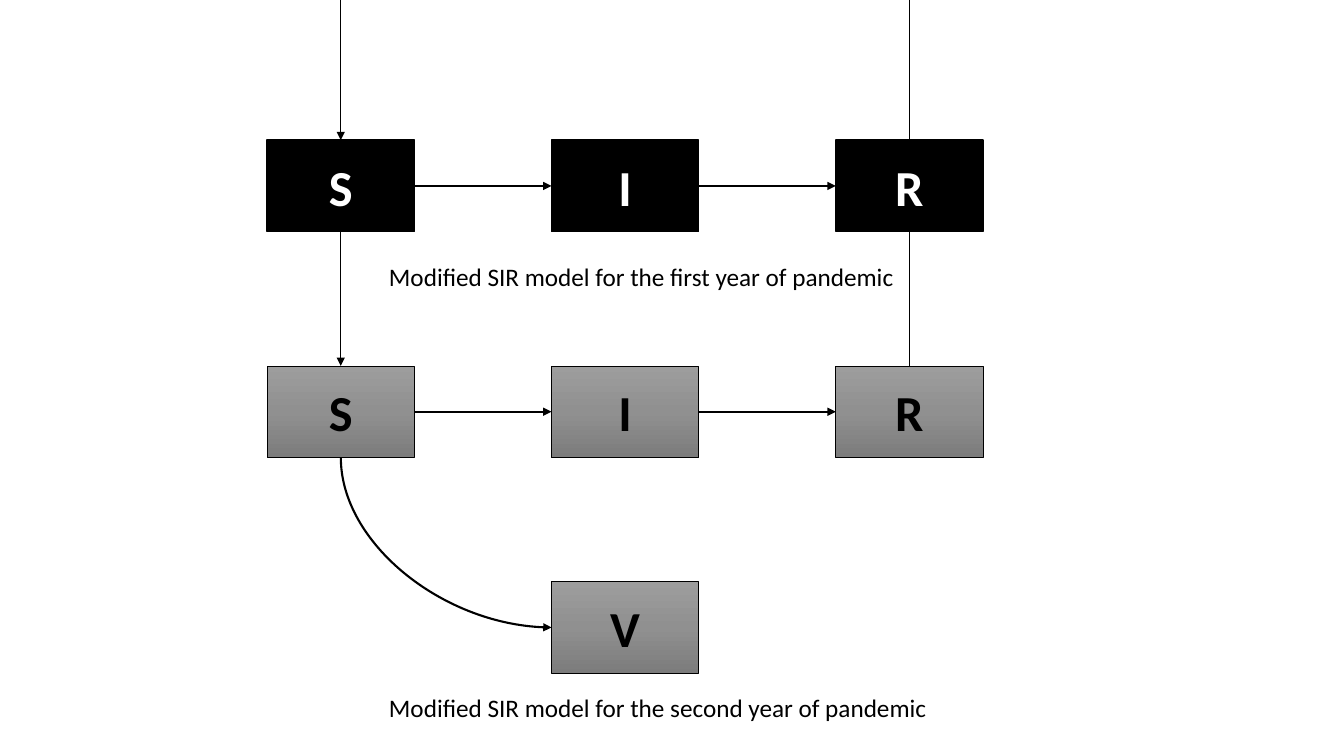
from dataclasses import dataclass

from lxml.etree import SubElement
from pptx import Presentation
from pptx.dml.color import RGBColor
from pptx.enum.shapes import MSO_CONNECTOR as Connector, MSO_SHAPE as Preset
from pptx.enum.text import MSO_ANCHOR as Anchor, MSO_AUTO_SIZE as AutoSize, PP_ALIGN as Align
from pptx.oxml.ns import qn
from pptx.shapes.autoshape import Shape
from pptx.shapes.connector import Connector as ConnectorShape
from pptx.slide import Slide
from pptx.util import Inches, Pt

COLORS = {"black": "000000", "white": "FFFFFF",
          "grey_top": "9D9D9D", "grey_middle": "909090", "grey_bottom": "7C7C7C"}
FONT = "Calibri"
BOX_WIDTH, BOX_HEIGHT = 1.46, 0.91
COLUMN_LEFT, COLUMN_STEP = 2.65, 2.82
TOP, LEFT, BOTTOM, RIGHT = 0, 1, 2, 3


@dataclass(frozen=True)
class BoxStyle:
    fills: tuple[str, ...]
    text: str
    line_width: float


@dataclass(frozen=True)
class ModelRow:
    top: float
    style: BoxStyle


@dataclass(frozen=True)
class Caption:
    text: str
    top: float
    width: float


SOLID = BoxStyle(("black",), "white", 1)
SHADED = BoxStyle(("grey_top", "grey_middle", "grey_bottom"), "black", 0.5)
FIRST_YEAR = ModelRow(1.39, SOLID)
SECOND_YEAR = ModelRow(3.63, SHADED)
CAPTIONS = (
    Caption("Modified SIR model for the first year of pandemic", 2.54, 5.27),
    Caption("Modified SIR model for the second year of pandemic", 6.82, 5.6),
)


def color(name: str) -> RGBColor:
    return RGBColor.from_string(COLORS[name])


def fill_box(box: Shape, names: tuple[str, ...]) -> None:
    """Fill with one colour, or with a downward gradient of evenly spaced ones."""
    if len(names) == 1:
        box.fill.solid()
        box.fill.fore_color.rgb = color(names[0])
        return
    box.fill.gradient()
    box.fill.gradient_angle = 270
    stops = box._element.spPr.find(qn("a:gradFill")).find(qn("a:gsLst"))
    for stop in list(stops):
        stops.remove(stop)
    for index, name in enumerate(names):
        position = 100000 * index // (len(names) - 1)
        stop = SubElement(stops, qn("a:gs"), pos=str(position))
        SubElement(stop, qn("a:srgbClr"), val=COLORS[name])


def add_box(slide: Slide, label: str, column: int, top: float, style: BoxStyle) -> Shape:
    box = slide.shapes.add_shape(
        Preset.RECTANGLE, Inches(COLUMN_LEFT + column * COLUMN_STEP), Inches(top),
        Inches(BOX_WIDTH), Inches(BOX_HEIGHT))
    box.shadow.inherit = False
    fill_box(box, style.fills)
    box.line.color.rgb = color("black")
    box.line.width = Pt(style.line_width)
    box.text_frame.vertical_anchor = Anchor.MIDDLE
    paragraph = box.text_frame.paragraphs[0]
    paragraph.text = label
    paragraph.alignment = Align.CENTER
    paragraph.font.name = FONT
    paragraph.font.size = Pt(36)
    paragraph.font.bold = True
    paragraph.font.color.rgb = color(style.text)
    return box


def style_line(line: ConnectorShape, width: float, arrow: bool = True) -> None:
    line.line.color.rgb = color("black")
    line.line.width = Pt(width)
    if arrow:
        SubElement(line.line._get_or_add_ln(), qn("a:tailEnd"), type="triangle")
    SubElement(line._element.spPr, qn("a:effectLst"))


def add_arrow(slide: Slide, kind: Connector, start: Shape, start_side: int,
              end: Shape, end_side: int) -> ConnectorShape:
    arrow = slide.shapes.add_connector(kind, 0, 0, 0, 0)
    arrow.begin_connect(start, start_side)
    arrow.end_connect(end, end_side)
    style_line(arrow, 1.5)
    return arrow


def add_return_line(slide: Slide, box: Shape, arrow: bool) -> None:
    """Run a line from the slide's top edge to a box, behind all boxes."""
    center = box.left + box.width // 2
    line = slide.shapes.add_connector(Connector.STRAIGHT, center, 0, center, box.top)
    line.end_connect(box, TOP)
    style_line(line, 1, arrow)
    slide.shapes._spTree.insert(2, line._element)


def add_model_row(slide: Slide, row: ModelRow) -> list[Shape]:
    boxes = [add_box(slide, label, column, row.top, row.style)
             for column, label in enumerate("SIR")]
    for start, end in zip(boxes, boxes[1:]):
        add_arrow(slide, Connector.STRAIGHT, start, RIGHT, end, LEFT)
    add_return_line(slide, boxes[0], arrow=True)
    add_return_line(slide, boxes[-1], arrow=False)
    return boxes


def bend_once(arrow: ConnectorShape) -> None:
    """Make a curve leave downwards and arrive rightwards, keeping its ends."""
    center_x = arrow.left + arrow.width // 2
    center_y = arrow.top + arrow.height // 2
    arrow.width, arrow.height = arrow.height, arrow.width
    arrow.left = center_x - arrow.width // 2
    arrow.top = center_y - arrow.height // 2
    transform = arrow._element.spPr.find(qn("a:xfrm"))
    transform.set("rot", str(270 * 60000))
    transform.set("flipH", "1")
    arrow._element.spPr.find(qn("a:prstGeom")).set("prst", "curvedConnector2")


def add_caption(slide: Slide, caption: Caption) -> None:
    box = slide.shapes.add_textbox(
        Inches(3.76), Inches(caption.top), Inches(caption.width), Inches(0.4))
    box.text_frame.word_wrap = False
    box.text_frame.auto_size = AutoSize.SHAPE_TO_FIT_TEXT
    paragraph = box.text_frame.paragraphs[0]
    paragraph.text = caption.text
    paragraph.font.name = FONT
    paragraph.font.size = Pt(18)
    paragraph.font.color.rgb = color("black")


def main() -> None:
    presentation = Presentation()
    presentation.slide_width = Inches(13.33)
    presentation.slide_height = Inches(7.5)
    slide = presentation.slides.add_slide(presentation.slide_layouts[6])

    add_model_row(slide, FIRST_YEAR)
    susceptible = add_model_row(slide, SECOND_YEAR)[0]
    vaccinated = add_box(slide, "V", 1, 5.77, SHADED)
    bend_once(add_arrow(slide, Connector.CURVE, susceptible, BOTTOM, vaccinated, LEFT))
    for caption in CAPTIONS:
        add_caption(slide, caption)
    presentation.save("out.pptx")


if __name__ == "__main__":
    main()
